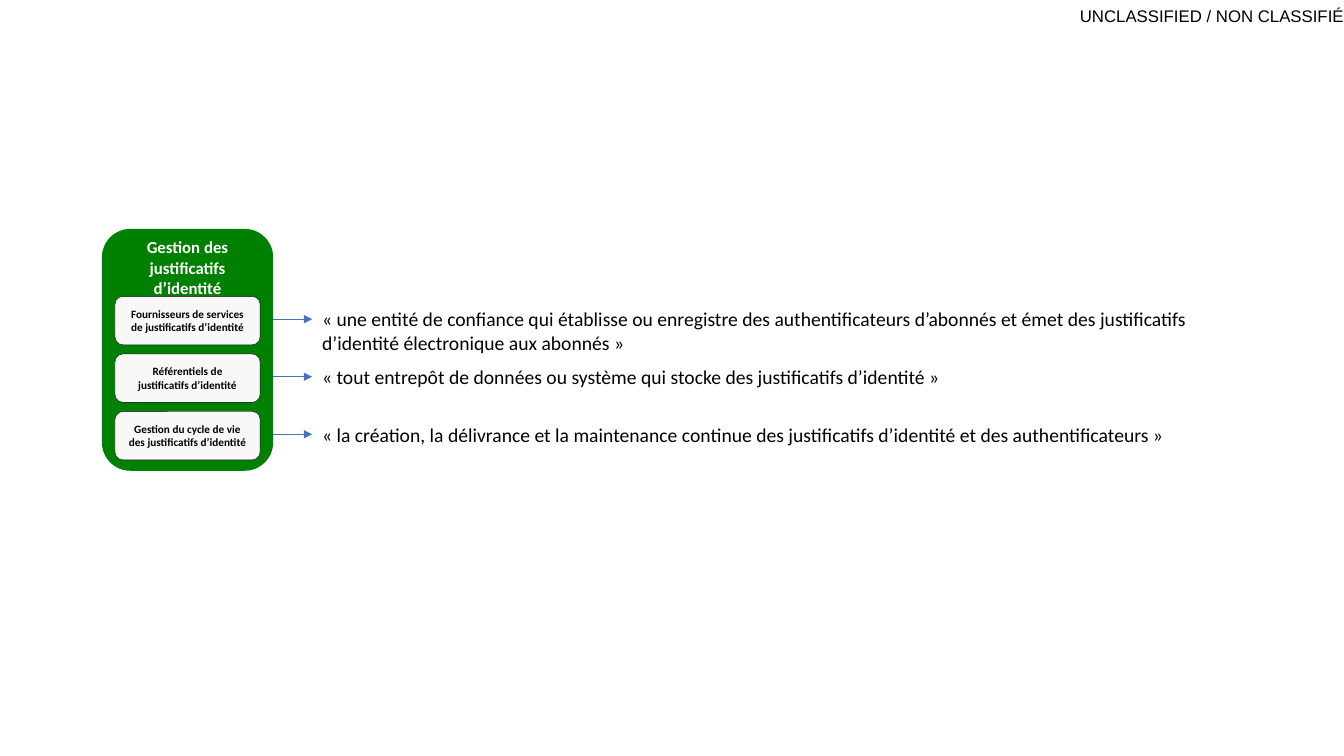
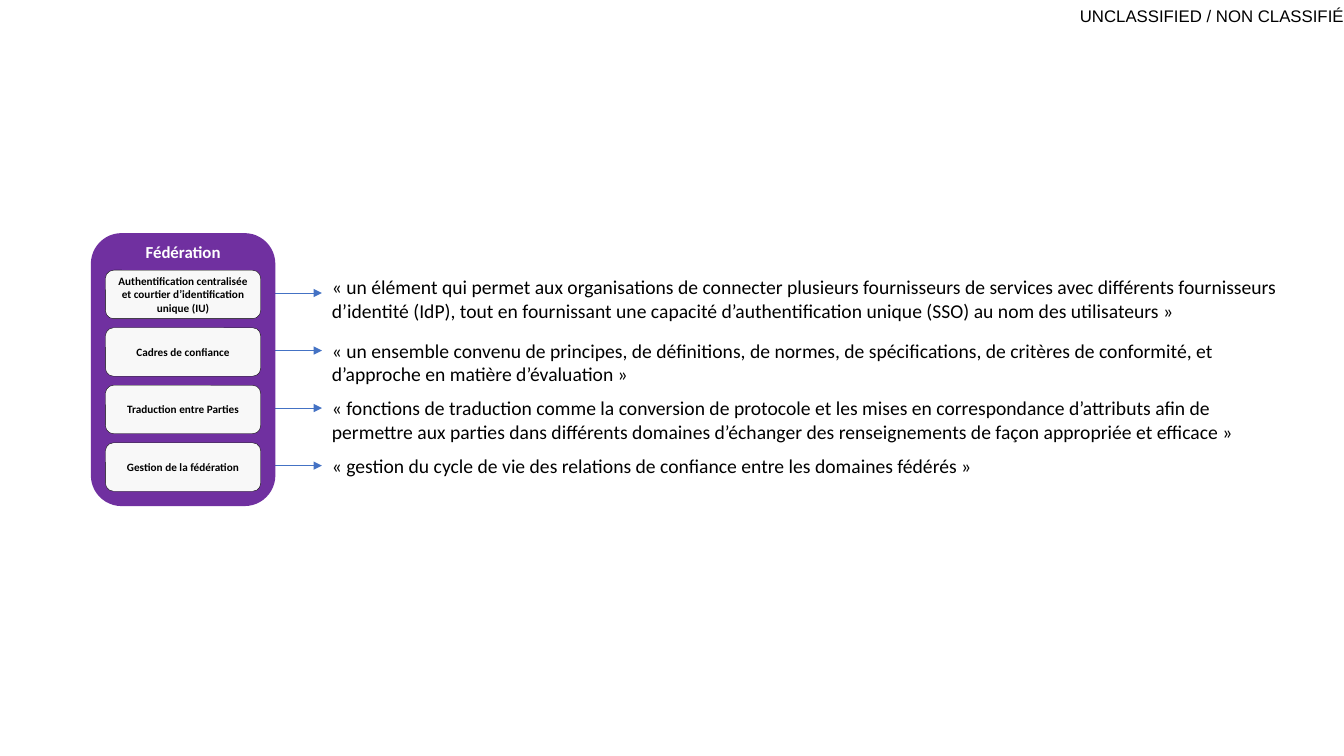
from pptx import Presentation
from pptx.dml.color import RGBColor
from pptx.enum.shapes import MSO_CONNECTOR, MSO_SHAPE
from pptx.enum.text import MSO_ANCHOR, PP_ALIGN
from pptx.oxml.ns import qn
from pptx.util import Pt
from lxml.etree import SubElement

BLACK = RGBColor(0x00, 0x00, 0x00)
WHITE = RGBColor(0xFF, 0xFF, 0xFF)
OFF_WHITE = RGBColor(0xF8, 0xF8, 0xF8)
BLUE = RGBColor(0x44, 0x72, 0xC4)
GREEN = RGBColor(0x00, 0x80, 0x00)
PURPLE = RGBColor(0x70, 0x30, 0xA0)

MARKING = "UNCLASSIFIED / NON CLASSIFIÉ"

# panel: left, top, width, height; rows: label, definition, its width, its drop below the box top
SLIDES = [
    dict(title="Gestion des justificatifs d’identité", color=GREEN,
         panel=(72.8, 163.5, 122.4, 172.8), box_width=103.7, first_top=211.7, arrow_left=188.5,
         rows=[
             ("Fournisseurs de services de justificatifs d’identité",
              "«\u00a0une entité de confiance qui établisse ou enregistre des authentificateurs "
              "d’abonnés et émet des justificatifs d’identité électronique aux abonnés\u00a0»", 689, 4.3),
             ("Référentiels de justificatifs d’identité",
              "«\u00a0tout entrepôt de données ou système qui stocke des justificatifs "
              "d’identité\u00a0»", 654, 4.3),
             ("Gestion du cycle de vie des justificatifs d’identité",
              "«\u00a0la création, la délivrance et la maintenance continue des justificatifs "
              "d’identité et des authentificateurs\u00a0»", 654, 4.3),
         ]),
    dict(title="Fédération", color=PURPLE,
         panel=(64.9, 166.5, 131.8, 195), box_width=110.9, first_top=193, arrow_left=195.5,
         rows=[
             ("Authentification centralisée et courtier d’identification unique (IU)",
              "«\u00a0un élément qui permet aux organisations de connecter plusieurs fournisseurs "
              "de services avec différents fournisseurs d’identité (IdP), tout en fournissant une "
              "capacité d’authentification unique (SSO) au nom des utilisateurs\u00a0»", 691, 0),
             ("Cadres de confiance",
              "«\u00a0un ensemble convenu de principes, de définitions, de normes, de "
              "spécifications, de critères de conformité, et d’approche en matière "
              "d’évaluation\u00a0»", 683, 4.3),
             ("Traduction entre Parties",
              "«\u00a0fonctions de traduction comme la conversion de protocole et les mises en "
              "correspondance d’attributs afin de permettre aux parties dans différents domaines "
              "d’échanger des renseignements de façon appropriée et efficace\u00a0»", 666, 4.3),
             ("Gestion de la fédération",
              "«\u00a0gestion du cycle de vie des relations de confiance entre les domaines "
              "fédérés\u00a0»", 654, 4.3),
         ]),
]

BOX_HEIGHT = 34.6
ROW_PITCH = 41.1
ARROW_LENGTH = 34.5
NOTE_HEIGHT = 24


def write(shape, text, size, color=BLACK, bold=False, font="Calibri",
          align=PP_ALIGN.LEFT, anchor=MSO_ANCHOR.TOP, insets=(7.2, 3.6)):
    """Put one run of wrapped text in a shape."""
    tf = shape.text_frame
    tf.word_wrap = True
    tf.vertical_anchor = anchor
    tf.margin_left = tf.margin_right = Pt(insets[0])
    tf.margin_top = tf.margin_bottom = Pt(insets[1])
    p = tf.paragraphs[0]
    p.alignment = align
    r = p.add_run()
    r.text = text
    r.font.name, r.font.size, r.font.bold = font, Pt(size), bold
    r.font.color.rgb = color


def add_text(s, left, top, width, height, text, size, **style):
    """Add a text box."""
    box = s.shapes.add_textbox(Pt(left), Pt(top), Pt(width), Pt(height))
    write(box, text, size, **style)


def add_card(s, left, top, width, height, fill, text, size, outline=None, **style):
    """Add a rounded card with bold centred text."""
    sp = s.shapes.add_shape(MSO_SHAPE.ROUNDED_RECTANGLE, Pt(left), Pt(top), Pt(width), Pt(height))
    sp.shadow.inherit = False
    sp.fill.solid()
    sp.fill.fore_color.rgb = fill
    if outline is None:
        sp.line.fill.background()
    else:
        sp.line.color.rgb = outline
        sp.line.width = Pt(0.25)
    write(sp, text, size, bold=True, align=PP_ALIGN.CENTER, **style)


def add_arrow(s, left, y):
    """Add a thin arrow pointing right."""
    line = s.shapes.add_connector(MSO_CONNECTOR.STRAIGHT, Pt(left), Pt(y),
                                  Pt(left + ARROW_LENGTH), Pt(y))
    line.line.color.rgb = BLUE
    line.line.width = Pt(0.5)
    SubElement(line.line._get_or_add_ln(), qn("a:tailEnd"), type="triangle")
    SubElement(line._element.spPr, qn("a:effectLst"))


def build_slide(prs, title, color, panel, box_width, first_top, arrow_left, rows):
    """Build one panel of labelled boxes with a definition beside each."""
    s = prs.slides.add_slide(prs.slide_layouts[6])
    add_text(s, 742.5, 0, 217.5, 22.3, MARKING, 12, font="Arial",
             align=PP_ALIGN.RIGHT, anchor=MSO_ANCHOR.MIDDLE, insets=(0, 0))
    tops = [first_top + i * ROW_PITCH for i in range(len(rows))]
    for top in tops:
        add_arrow(s, arrow_left, top + BOX_HEIGHT / 2 - 1)
    add_card(s, *panel, color, title, 12, color=WHITE, insets=(3.2, 0))
    box_left = panel[0] + (panel[2] - box_width) / 2
    note_left = arrow_left + ARROW_LENGTH
    for top, (label, definition, width, drop) in zip(tops, rows):
        add_card(s, box_left, top, box_width, BOX_HEIGHT, OFF_WHITE, label, 8,
                 outline=BLACK, anchor=MSO_ANCHOR.MIDDLE)
        add_text(s, note_left, top + drop, width, NOTE_HEIGHT, definition, 14)


prs = Presentation()
prs.slide_width, prs.slide_height = Pt(960), Pt(540)
for content in SLIDES:
    build_slide(prs, **content)
prs.save("out.pptx")
